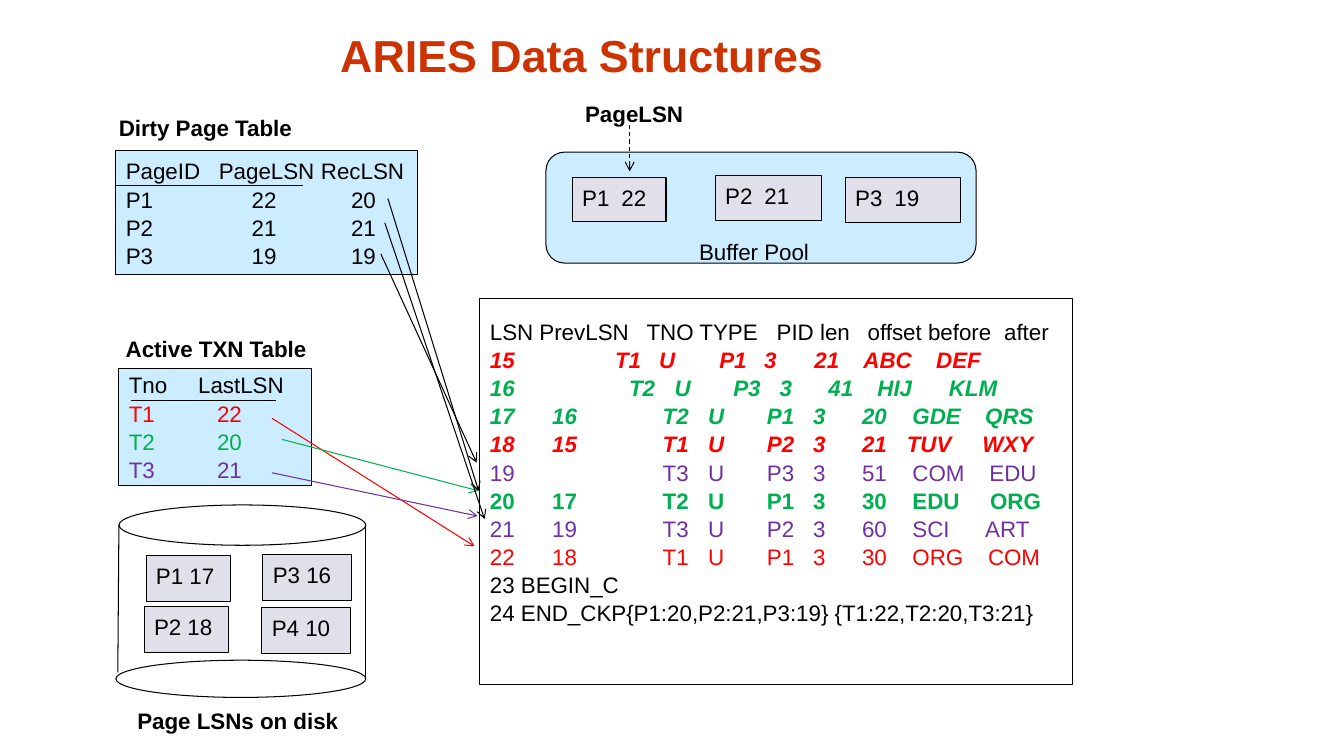
import pptx
import pptx.dml.color
import pptx.enum.dml
import pptx.enum.shapes
import pptx.enum.text
import pptx.oxml
import pptx.oxml.ns
import pptx.util

Pt = pptx.util.Pt
SHAPES = pptx.enum.shapes.MSO_SHAPE
ANCHOR = pptx.enum.text.MSO_ANCHOR
ALIGN = pptx.enum.text.PP_ALIGN

BLACK, RED, GREEN, PURPLE = "000000", "FF0000", "00B050", "7030A0"
ORANGE, WHITE, PALE_BLUE, GREY = "CC3300", "FFFFFF", "CCECFF", "E0E0EB"

# Each row: cells, tab stops, then format
DIRTY_STOPS = (90, 161)
DIRTY_PAGES = [
    (("PageID", "PageLSN", "RecLSN"), (66.5, 139.5), {}),
    (("P1", "22", "20"), DIRTY_STOPS, {}),
    (("P2", "21", "21"), DIRTY_STOPS, {}),
    (("P3", "19", "19"), DIRTY_STOPS, {}),
]
TRANSACTIONS = [
    (("Tno", "LastLSN"), (49.5,), {}),
    (("T1", "22"), (63,), {"color": RED}),
    (("T2", "20"), (63,), {"color": GREEN}),
    (("T3", "21"), (63,), {"color": PURPLE}),
]
LOG_STOPS = (44.5, 123.5, 156, 198, 231, 266, 302)
SLANTED = {"bold": True, "italic": True}
LOG = [
    (("LSN PrevLSN", "TNO TYPE", "PID len", "offset before", "after"),
     (112, 205, 270, 367.5), {}),
    (("15", "T1", "U", "P1", "3", "21", "ABC", "DEF"),
     (89.5, 121, 164, 196, 232, 267, 319), {"color": RED, **SLANTED}),
    (("16", "T2", "U", "P3", "3", "41", "HIJ", "KLM"),
     (99.5, 132, 174, 207, 242, 277, 328), {"color": GREEN, **SLANTED}),
    (("17", "16", "T2", "U", "P1", "3", "20", "GDE", "QRS"),
     (*LOG_STOPS, 354), {"color": GREEN, **SLANTED}),
    (("18", "15", "T1", "U", "P2", "3", "21", "TUV", "WXY"),
     (*LOG_STOPS[:-1], 298, 352), {"color": RED, **SLANTED}),
    (("19", "", "T3", "U", "P3", "3", "51", "COM", "EDU"),
     (*LOG_STOPS, 357), {"color": PURPLE}),
    (("20", "17", "T2", "U", "P1", "3", "30", "EDU", "ORG"),
     (*LOG_STOPS, 357.5), {"color": GREEN, "bold": True}),
    (("21", "19", "T3", "U", "P2", "3", "60", "SCI", "ART"),
     (*LOG_STOPS, 354), {"color": PURPLE}),
    (("22", "18", "T1", "U", "P1", "3", "30", "ORG", "COM"),
     (*LOG_STOPS, 356), {"color": RED}),
    (("23 BEGIN_C",), (), {}),
    (("24 END_CKP{P1:20,P2:21,P3:19} {T1:22,T2:20,T3:21}",), (), {}),
]

# Places are left, top, width, height
LABELS = [
    ("Dirty Page Table", (77.8, 77, 141, 26.6), {"bold": True}),
    ("Active TXN Table", (82.8, 234.7, 155, 26.6), {"bold": True}),
    ("PageLSN", (411.1, 67, 102, 26.6), {"bold": True}),
    ("Buffer Pool", (492.5, 165.6, 94, 26.6), {}),
    ("Page LSNs on disk", (78.5, 500.4, 183, 26.6),
     {"bold": True, "align": ALIGN.CENTER}),
]
PAGES = [
    (("P1", "22"), (409, 126.7, 67, 31.7)),
    (("P2", "21"), (511.2, 125.3, 75.6, 32.4)),
    (("P3", "19"), (604.1, 126.7, 82.1, 32.4)),
    (("P1 17",), (104.4, 396.7, 60.5, 32.8)),
    (("P3 16",), (187.9, 396, 63.4, 32.8)),
    (("P2 18",), (103, 433.4, 60.5, 32.8)),
    (("P4 10",), (187.2, 434.2, 63.4, 32.4)),
]
DISK_ENDS = [(85, 360.7, 176.4, 28.8), (82.8, 471.6, 178.6, 26.6)]

# Lines are start x, start y, end x, end y
PLAIN_LINES = [
    (82.8, 132.5, 216.7, 132.5),
    (93.6, 285.8, 197.3, 285.8),
    (261.4, 376.6, 261.4, 485.3),
    (85, 375.1, 84.2, 480.2),
]
ARROWS = [
    ((194.4, 298.8, 339.1, 390.2), RED),
    ((201.6, 313.9, 342, 350.6), GREEN),
    ((194.4, 337.7, 341.3, 368.6), PURPLE),
    ((272.2, 181.4, 340.6, 330.5), BLACK),
    ((275, 159.1, 346.3, 370.8), BLACK),
    ((277.2, 141.8, 342, 350.6), BLACK),
]
PAGE_LSN_ARROW = (450, 89.3, 450, 122.4)


def rgb(value):
    return pptx.dml.color.RGBColor.from_string(value)


def add_xml(parent, tag, **attributes):
    child = pptx.oxml.parse_xml(f"<a:{tag} {pptx.oxml.ns.nsdecls('a')}/>")
    for name, value in attributes.items():
        child.set(name, value)
    parent.append(child)
    return child


def write(para, text, size=16, color=BLACK, bold=False, italic=False,
          align=ALIGN.LEFT, stops=(), spacing=1.05):
    para.alignment = align
    para.line_spacing = spacing
    if stops:
        tab_list = add_xml(para._p.get_or_add_pPr(), "tabLst")
        for stop in stops:
            add_xml(tab_list, "tab", pos=str(int(Pt(stop))), algn="l")
    span = para.add_run()
    span.text = text
    span.font.name = "Arial"
    span.font.size = Pt(size)
    span.font.bold = bold
    span.font.italic = italic
    span.font.color.rgb = rgb(color)


def set_frame(box, anchor, top=3.6):
    frame = box.text_frame
    frame.word_wrap = True
    frame.vertical_anchor = anchor
    frame.margin_left, frame.margin_right = Pt(7.2), Pt(0)
    frame.margin_top, frame.margin_bottom = Pt(top), Pt(3.6)
    return frame


def add_label(page, text, place, anchor=ANCHOR.TOP, **style):
    box = page.shapes.add_textbox(*map(Pt, place))
    frame = set_frame(box, anchor)
    frame.margin_right = Pt(7.2)
    write(frame.paragraphs[0], text, **style)


def add_box(page, kind, place, fill=None):
    box = page.shapes.add_shape(kind, *map(Pt, place))
    box.shadow.inherit = False
    if fill:
        box.fill.solid()
        box.fill.fore_color.rgb = rgb(fill)
    else:
        box.fill.background()
    box.line.color.rgb = rgb(BLACK)
    box.line.width = Pt(0.75)
    return box


def add_rows(page, rows, place, fill, anchor=ANCHOR.MIDDLE, top=3.6):
    """Add a rectangle whose rows are set in columns by tab stops."""
    frame = set_frame(add_box(page, SHAPES.RECTANGLE, place, fill), anchor, top)
    for index, (cells, stops, style) in enumerate(rows):
        para = frame.add_paragraph() if index else frame.paragraphs[0]
        write(para, "\t".join(cells), stops=stops, **style)


def add_line(page, ends, color=BLACK, arrow=False, dashed=False):
    line = page.shapes.add_connector(
        pptx.enum.shapes.MSO_CONNECTOR.STRAIGHT, *map(Pt, ends))
    line.line.color.rgb = rgb(color)
    line.line.width = Pt(0.75)
    if dashed:
        line.line.dash_style = pptx.enum.dml.MSO_LINE.DASH
    if arrow:
        add_xml(line.line._get_or_add_ln(), "tailEnd", type="arrow")
    add_xml(line._element.spPr, "effectLst")


def main():
    deck = pptx.Presentation()
    deck.slide_width, deck.slide_height = Pt(960.48), Pt(540)
    page = deck.slides.add_slide(deck.slide_layouts[6])

    add_label(page, "ARIES Data Structures", (149.8, 13.7, 532.1, 48.2),
              anchor=ANCHOR.BOTTOM, size=32, color=ORANGE, bold=True,
              align=ALIGN.CENTER, spacing=1.0)
    add_rows(page, DIRTY_PAGES, (82.8, 107.6, 215.3, 88.6), PALE_BLUE)
    add_box(page, SHAPES.ROUNDED_RECTANGLE, (390.2, 108.7, 307.4, 79.2), PALE_BLUE)
    add_rows(page, LOG, (343, 213.4, 423.4, 275.8), WHITE, ANCHOR.TOP, top=12.7)
    add_rows(page, TRANSACTIONS, (85, 263, 137.5, 83.5), PALE_BLUE)
    for place in DISK_ENDS:
        add_box(page, SHAPES.OVAL, place)
    for cells, place in PAGES:
        stops = (28,) if len(cells) > 1 else ()
        add_rows(page, [(cells, stops, {})], place, GREY, ANCHOR.TOP)
    for text, place, style in LABELS:
        add_label(page, text, place, **style)
    for ends in PLAIN_LINES:
        add_line(page, ends)
    add_line(page, PAGE_LSN_ARROW, arrow=True, dashed=True)
    for ends, color in ARROWS:
        add_line(page, ends, color, arrow=True)

    deck.save("out.pptx")


if __name__ == "__main__":
    main()
